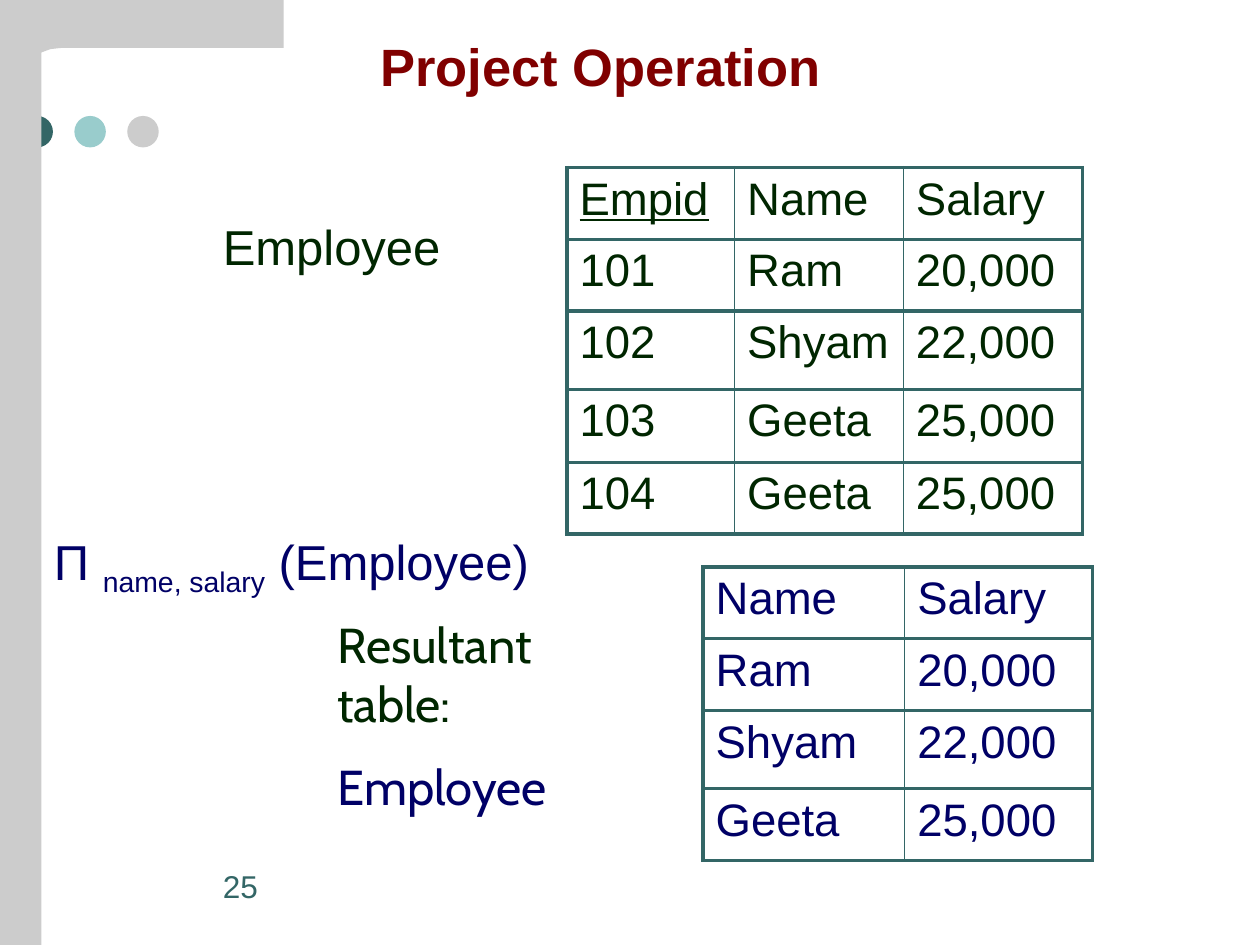
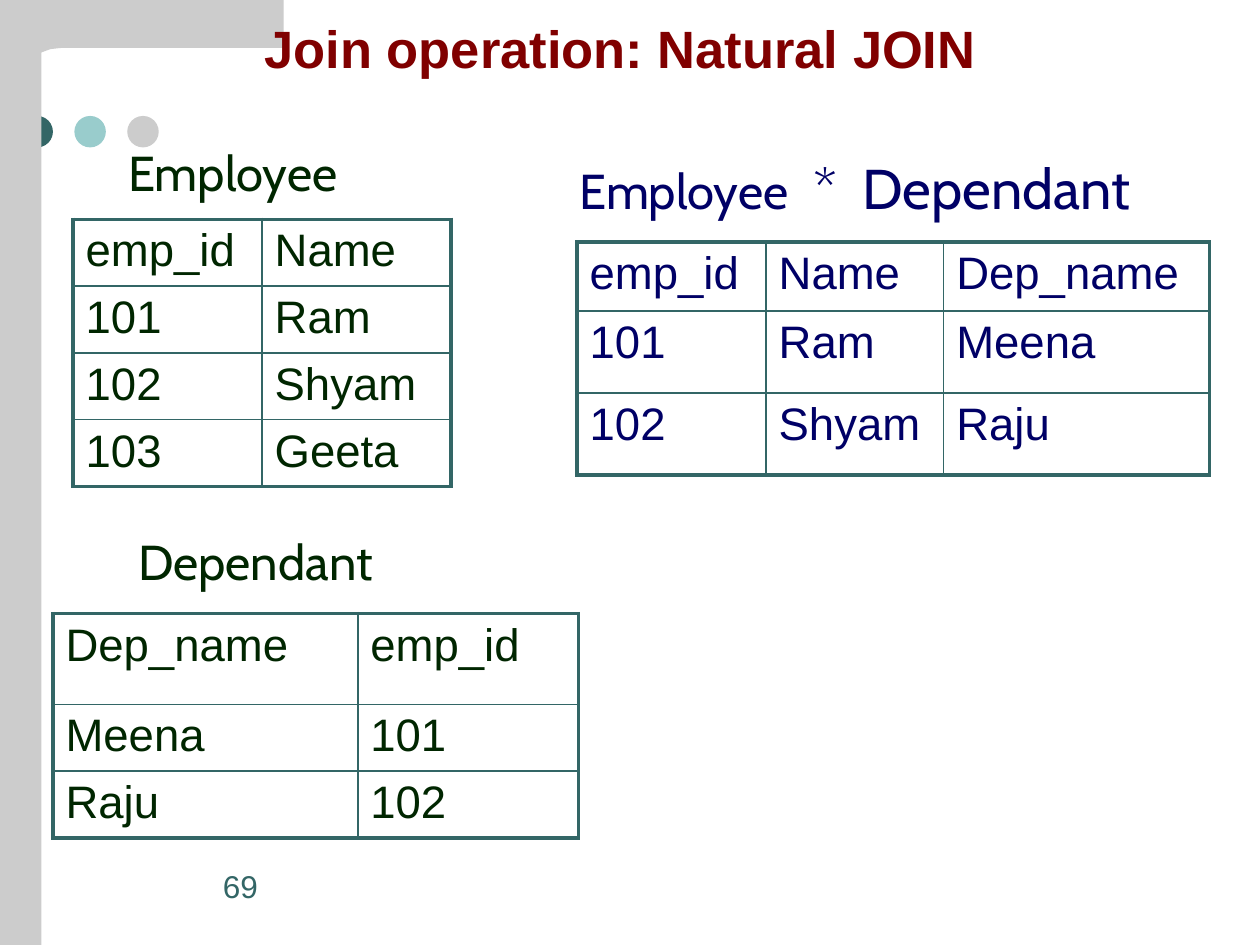
from lxml import etree
from pptx import Presentation
from pptx.dml.color import RGBColor
from pptx.enum.shapes import MSO_SHAPE
from pptx.enum.text import MSO_ANCHOR, MSO_AUTO_SIZE, PP_ALIGN
from pptx.oxml.ns import qn
from pptx.util import Inches, Pt

OVAL, RECT = MSO_SHAPE.OVAL, MSO_SHAPE.RECTANGLE
MIDDLE, LEFT, FIXED = MSO_ANCHOR.MIDDLE, PP_ALIGN.LEFT, MSO_AUTO_SIZE.NONE
TEAL, AQUA, GRAY = "336666", "99CCCC", "CCCCCC"
RED, GREEN, NAVY = "800000", "002600", "000066"
SANS, CABIN = "Arial", "Cabin"
THICK, THIN = 2.25, 1


def hue(color, code):
    color.rgb = RGBColor.from_string(code)


def say(par, text, face, size, code, **more):
    run = par.add_run()
    run.text = text
    look = {"name": face, "size": Pt(size), **more}
    for key, value in look.items():
        setattr(run.font, key, value)
    hue(run.font.color, code)
    return run


pages = [
    {
        "title": ("Project Operation", 2.92, 0.21, 4, 0.62),
        "number": "25",
        "tables": [
            (4.5, 1.33, GREEN, THICK, [1.33, 1.34, 1.42],
             [0.57, 0.57, 0.62, 0.58, 0.57],
             [["Empid", "Name", "Salary"],
              ["101", "Ram", "20,000"],
              ["102", "Shyam", "22,000"],
              ["103", "Geeta", "25,000"],
              ["104", "Geeta", "25,000"]]),
            (5.58, 4.5, NAVY, THICK, [1.6, 1.49],
             [0.57, 0.57, 0.62, 0.57],
             [["Name", "Salary"],
              ["Ram", "20,000"],
              ["Shyam", "22,000"],
              ["Geeta", "25,000"]]),
        ],
        "labels": [
            (1.67, 1.67, 2.5, 0.57, [[("Employee", SANS, 28, GREEN)]]),
            (2.58, 4.83, 1.92, 1.74, [[("Resultant table:", CABIN, 28, GREEN)],
                                      [("Employee", CABIN, 28, NAVY)]]),
            (0.33, 4.17, 4.67, 0.57, [[("Π ", SANS, 28, NAVY),
                                       ("name, salary", SANS, 28, NAVY),
                                       (" (Employee)", SANS, 28, NAVY)]]),
        ],
    },
    {
        "title": ("Join operation: Natural JOIN", 2, 0.08, 7, 0.6),
        "number": "69",
        "tables": [
            (0.42, 4.87, GREEN, THIN, [2.42, 1.75], [0.72, 0.53, 0.53],
             [["Dep_name", "emp_id"], ["Meena", "101"], ["Raju", "102"]]),
            (0.58, 1.74, GREEN, THIN, [1.5, 1.5], [0.53] * 4,
             [["emp_id", "Name"],
              ["101", "Ram"],
              ["102", "Shyam"],
              ["103", "Geeta"]]),
            (4.58, 1.92, NAVY, THIN, [1.5, 1.41, 2.11], [0.55, 0.65, 0.65],
             [["emp_id", "Name", "Dep_name"],
              ["101", "Ram", "Meena"],
              ["102", "Shyam", "Raju"]]),
        ],
        "labels": [
            (0.92, 1.08, 2.64, 0.57, [[("Employee", CABIN, 28, GREEN)]]),
            (1, 4.17, 2.64, 0.57, [[("Dependant", CABIN, 28, GREEN)]]),
            (4.5, 1.17, 4.92, 0.63, [[("Employee", CABIN, 28, NAVY),
                                      ("  *  Dependant", CABIN, 32, NAVY)]]),
        ],
    },
]

deck = Presentation()
deck.slide_width, deck.slide_height = Inches(10), Inches(7.5)
layout = deck.slide_layouts[5]
slides = [deck.slides.add_slide(layout) for page in pages]

shapes = slides[0].shapes
decor = []
for col, code in enumerate([TEAL, AQUA, GRAY]):
    box = [Inches(n) for n in (0.17 + 0.42 * col, 0.92, 0.25, 0.25)]
    decor.append((shapes.add_shape(OVAL, *box), code))
bar = shapes.add_shape(RECT, 0, 0, Inches(0.33), Inches(7.5))
edge = [(2.25, 0), (2.25, 0.38), (0.49, 0.38), (0.4, 0.39), (0.32, 0.42),
        (0.27, 0.47), (0.25, 0.53), (0.25, 0.58), (0, 0.58), (0, 0)]
spots = [(Inches(x), Inches(y)) for x, y in edge]
pen = shapes.build_freeform(*spots[0])
pen.add_line_segments(spots[1:], close=True)
decor += [(bar, GRAY), (pen.convert_to_shape(), GRAY)]
for shape, code in decor:
    shape.shadow.inherit = False
    shape.fill.solid()
    hue(shape.fill.fore_color, code)
    shape.line.fill.background()
    layout.shapes.element.append(shape.element)

for slide, page in zip(slides, pages):
    text, *box = page["title"]
    title = slide.shapes.title
    for key, value in zip(("left", "top", "width", "height"), box):
        setattr(title, key, Inches(value))
    frame = title.text_frame
    setup = {"word_wrap": True, "auto_size": FIXED, "vertical_anchor": MIDDLE}
    for key, value in setup.items():
        setattr(frame, key, value)
    par = frame.paragraphs[0]
    par.alignment = LEFT
    say(par, text, SANS, 30, RED, bold=True)

    for left, top, code, rule, cols, rows, data in page["tables"]:
        box = [Inches(n) for n in (left, top, sum(cols), sum(rows))]
        table = slide.shapes.add_table(len(rows), len(cols), *box).table
        table.first_row = table.horz_banding = False
        for col, width in enumerate(cols):
            table.columns[col].width = Inches(width)
        for row, height in enumerate(rows):
            table.rows[row].height = Inches(height)
            for col, text in enumerate(data[row]):
                cell = table.cell(row, col)
                say(cell.text_frame.paragraphs[0], text, SANS, 26, code,
                    underline=text == "Empid")
                sides = {
                    "L": THIN if col else THICK,
                    "R": THICK if col == len(cols) - 1 else THIN,
                    "T": rule if row else THICK,
                    "B": THICK if row == len(rows) - 1 else rule,
                }
                props = cell._tc.get_or_add_tcPr()
                for side, width in sides.items():
                    line = etree.SubElement(props, qn("a:ln" + side), w=str(Pt(width)))
                    fill = etree.SubElement(line, qn("a:solidFill"))
                    etree.SubElement(fill, qn("a:srgbClr"), val=TEAL)
                cell.fill.background()

    number = (1.67, 6.83, 1.42, 0.5, [[(page["number"], SANS, 18, TEAL)]])
    for *box, lines in [number] + page["labels"]:
        label = slide.shapes.add_textbox(*[Inches(n) for n in box])
        frame = label.text_frame
        frame.word_wrap = True
        for row, parts in enumerate(lines):
            par = frame.paragraphs[0]
            if row:
                par = frame.add_paragraph()
                par.space_before = Pt(14)
            for part in parts:
                run = say(par, *part)
                if run.text == "name, salary":
                    run.font._element.set("baseline", "-25000")

deck.save("out.pptx")
